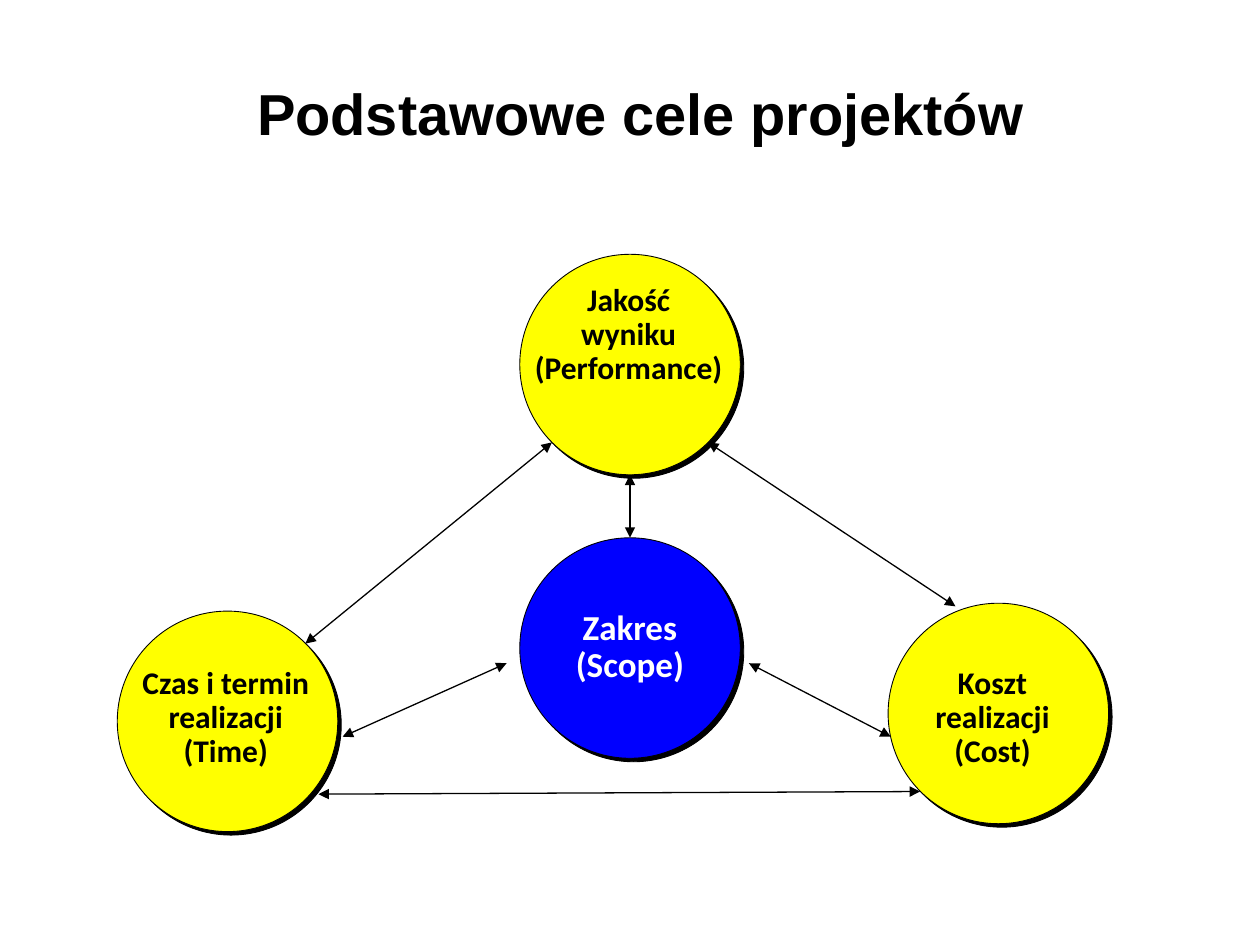
from lxml import etree
from pptx import Presentation
from pptx.dml.color import RGBColor
from pptx.enum import shapes, text
from pptx.oxml import ns
from pptx.util import Pt

COLORS = {"black": "000000", "white": "FFFFFF", "yellow": "FFFF00", "blue": "0000FF"}
DIAMETER = 126


def color(name):
    return RGBColor.from_string(COLORS[name])


def style_text(paragraph, font_name, size, color_name):
    paragraph.alignment = text.PP_ALIGN.CENTER
    paragraph.font.name = font_name
    paragraph.font.size = Pt(size)
    paragraph.font.bold = True
    paragraph.font.color.rgb = color(color_name)


deck = Presentation()
deck.slide_width, deck.slide_height = Pt(720), Pt(540)
slide = deck.slides.add_slide(deck.slide_layouts[5])

title = slide.shapes.title
title.left, title.top, title.width, title.height = Pt(110), Pt(37.5), Pt(512), Pt(54)
title.text_frame.text = "Podstawowe cele projektów"
title.text_frame.vertical_anchor = text.MSO_ANCHOR.MIDDLE
style_text(title.text_frame.paragraphs[0], "Arial", 33, "black")

goals = [
    (("Jakość", "wyniku", "(Performance)"), (297, 145.3), (293, 159, 132.5, 68.4), "yellow", "black", 18),
    (("Czas i termin", "realizacji", "(Time)"), (67, 349.2), (67.5, 378, 123, 68.4), "yellow", "black", 18),
    (("Koszt", "realizacji", "(Cost)"), (507.5, 344.7), (522.5, 378, 89.3, 68.4), "yellow", "black", 18),
    (("Zakres", "(Scope)"), (297, 307.3), (321, 345, 78, 50.4), "blue", "white", 20),
]
for lines, (left, top), label_box, fill, ink, size in goals:
    circle = slide.shapes.add_shape(
        shapes.MSO_SHAPE.OVAL, Pt(left), Pt(top), Pt(DIAMETER), Pt(DIAMETER))
    circle.fill.solid()
    circle.fill.fore_color.rgb = color(fill)
    circle.line.color.rgb = color("black")
    circle.line.width = Pt(0.5)
    circle.shadow.inherit = False
    effects = circle._element.spPr.find(ns.qn("a:effectLst"))
    shadow = etree.SubElement(effects, ns.qn("a:outerShdw"), dist=str(Pt(2.8)),
                              dir=str(45 * 60000), algn="ctr", rotWithShape="0")
    etree.SubElement(shadow, ns.qn("a:srgbClr"), val=COLORS["black"])

    label = slide.shapes.add_textbox(*map(Pt, label_box)).text_frame
    label.word_wrap = False
    label.auto_size = text.MSO_AUTO_SIZE.SHAPE_TO_FIT_TEXT
    label.text = "\n".join(lines)
    for paragraph in label.paragraphs:
        style_text(paragraph, "Calibri", size, ink)
        paragraph.line_spacing = 0.9

links = [
    ((182, 453.8), (525.8, 452.3)),
    ((428, 379), (509, 421)),
    ((289.5, 379), (195.8, 421)),
    ((360, 307.3), (360, 271.3)),
    ((174.5, 367.8), (315.4, 252.8)),
    ((404.6, 252.8), (546, 346.5)),
]
for start, end in links:
    arrow = slide.shapes.add_connector(
        shapes.MSO_CONNECTOR.STRAIGHT, *map(Pt, start + end))
    arrow.line.color.rgb = color("black")
    arrow.line.width = Pt(0.75)
    outline = arrow.line._get_or_add_ln()
    for arrowhead in ("a:headEnd", "a:tailEnd"):
        etree.SubElement(outline, ns.qn(arrowhead), type="triangle")
    etree.SubElement(arrow._element.spPr, ns.qn("a:effectLst"))

deck.save("out.pptx")
